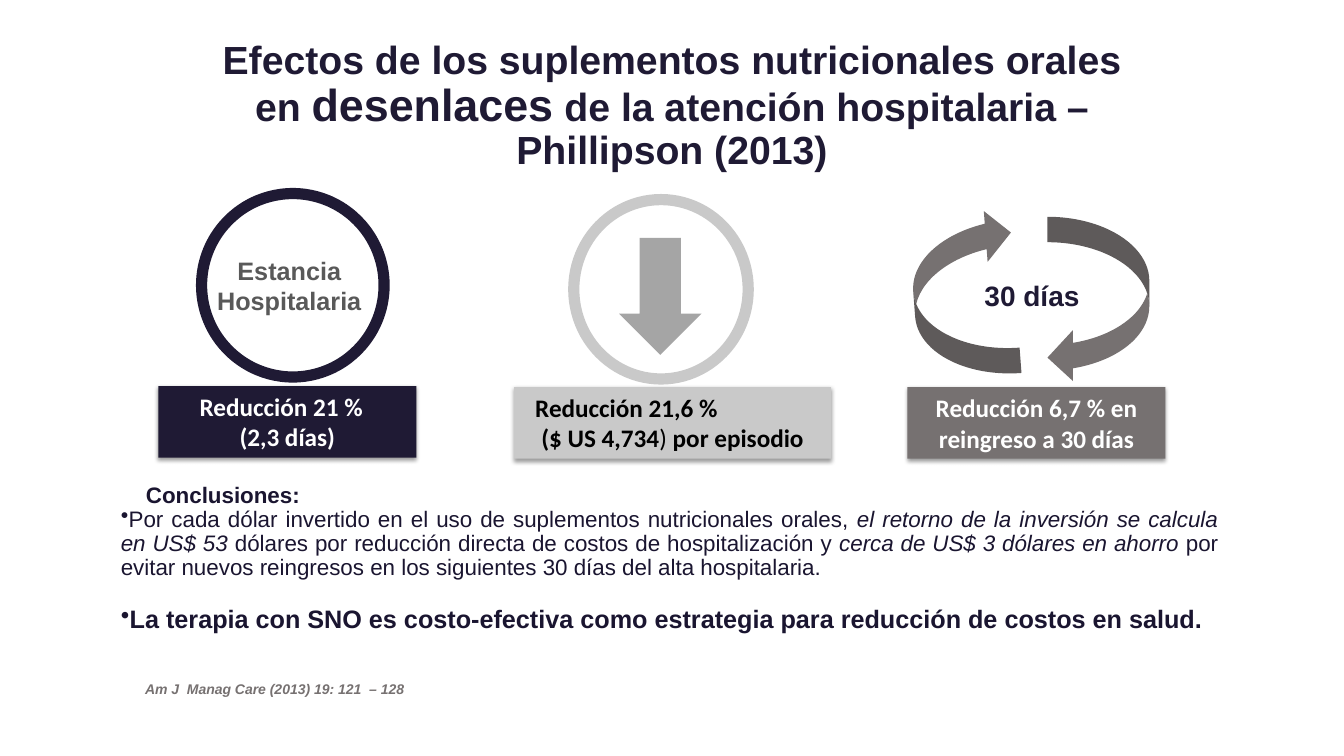
from dataclasses import dataclass
from typing import Optional

from lxml import etree
from pptx import Presentation
from pptx.dml.color import RGBColor
from pptx.enum.shapes import MSO_SHAPE
from pptx.enum.text import MSO_ANCHOR, PP_ALIGN
from pptx.oxml.ns import qn
from pptx.util import Emu, Inches, Pt

RECT, OVAL = MSO_SHAPE.RECTANGLE, MSO_SHAPE.OVAL
CURVED, DOWN = MSO_SHAPE.CURVED_LEFT_ARROW, MSO_SHAPE.DOWN_ARROW
TOP, MIDDLE = MSO_ANCHOR.TOP, MSO_ANCHOR.MIDDLE
LEFT, CENTER, JUSTIFY = PP_ALIGN.LEFT, PP_ALIGN.CENTER, PP_ALIGN.JUSTIFY


@dataclass(frozen=True)
class Theme:
    navy: str = "1F1A34"
    ink: str = "1A1530"
    gray: str = "767171"
    silver: str = "C9C9C9"
    arrow: str = "A5A5A5"
    label: str = "595959"
    white: str = "FFFFFF"
    black: str = "000000"
    sans: str = "Arial"
    box_font: str = "Calibri"
    title: float = 28
    title_big: float = 32
    days: float = 20
    strong: float = 18
    body: float = 16
    cite: float = 10
    ring: float = 8


T = Theme()


@dataclass(frozen=True)
class Run:
    text: str
    size: float
    color: str
    bold: bool = True
    italic: bool = False
    font: str = T.sans


@dataclass(frozen=True)
class Para:
    runs: tuple[Run, ...]
    align: PP_ALIGN = CENTER
    spacing: Optional[float] = None
    before: float = 0
    left: float = 0  # inches
    right: float = 0  # inches
    bullet: bool = False


@dataclass(frozen=True)
class Box:
    """Place as percentages of the slide's width and height."""
    x: float
    y: float
    w: float
    h: float


@dataclass(frozen=True)
class Figure:
    kind: MSO_SHAPE
    box: Box
    fill: Optional[str] = None
    line: Optional[str] = None
    rotation: float = 0
    shadow: bool = False
    paras: tuple[Para, ...] = ()
    anchor: MSO_ANCHOR = MIDDLE


prs = Presentation()
prs.slide_width, prs.slide_height = Inches(13.33), Inches(7.5)
s = prs.slides.add_slide(prs.slide_layouts[6])


def place(box: Box) -> tuple[Emu, ...]:
    w, h = prs.slide_width, prs.slide_height
    return tuple(Emu(round(share * size / 100)) for share, size in
                 ((box.x, w), (box.y, h), (box.w, w), (box.h, h)))


def write(tf, paras: tuple[Para, ...], anchor: MSO_ANCHOR, wrap: bool = True) -> None:
    tf.word_wrap, tf.vertical_anchor = wrap, anchor
    for i, para in enumerate(paras):
        p = tf.add_paragraph() if i else tf.paragraphs[0]
        pPr = p._p.get_or_add_pPr()
        for name, inches in (("marL", para.left), ("marR", para.right), ("indent", 0)):
            pPr.set(name, str(Inches(inches)))
        if para.bullet:
            etree.SubElement(pPr, qn("a:buChar"), char="•")
        p.alignment = para.align
        if para.spacing:
            p.line_spacing = para.spacing
        if para.before:
            p.space_before = Pt(para.before)
        for run in para.runs:
            r = p.add_run()
            r.text = run.text
            r.font.name, r.font.size = run.font, Pt(run.size)
            r.font.bold, r.font.italic = run.bold, run.italic
            r.font.color.rgb = RGBColor.from_string(run.color)


def add_text(box: Box, paras: tuple[Para, ...], wrap: bool = True) -> None:
    write(s.shapes.add_textbox(*place(box)).text_frame, paras, TOP, wrap)


def add_figure(fig: Figure) -> None:
    sp = s.shapes.add_shape(fig.kind, *place(fig.box))
    sp.rotation = fig.rotation
    if fig.fill:
        sp.fill.solid()
        sp.fill.fore_color.rgb = RGBColor.from_string(fig.fill)
    else:
        sp.fill.background()
    if fig.line:
        sp.line.color.rgb = RGBColor.from_string(fig.line)
        sp.line.width = Pt(T.ring)
    else:
        sp.line.fill.background()
    sp.shadow.inherit = False
    if fig.shadow:
        effects = sp._element.spPr.find(qn("a:effectLst"))
        outer = etree.SubElement(effects, qn("a:outerShdw"), blurRad=str(Pt(3.1)),
                                 dist=str(Pt(1.6)), dir="5400000", rotWithShape="0")
        color = etree.SubElement(outer, qn("a:srgbClr"), val=T.black)
        etree.SubElement(color, qn("a:alpha"), val="38000")
    if fig.paras:
        write(sp.text_frame, fig.paras, fig.anchor)


def result(text: str, color: str, bold: bool = True) -> Run:
    return Run(text, T.strong, color, bold, font=T.box_font)


def body(text: str, italic: bool = False) -> Run:
    return Run(text, T.body, T.ink, False, italic)


# Labels inside the circle and the cycle
LABELS = (
    Figure(RECT, Box(71.27, 34.8, 11.03, 8.53), T.white,
           paras=(Para((Run("30 días", T.days, T.navy),)),)),
    Figure(RECT, Box(14.55, 33.47, 13.95, 8.53), T.white,
           paras=(Para((Run("Estancia Hospitalaria", T.strong, T.label),)),)),
)

# Rings, arrows and result boxes
FIGURES = (
    Figure(OVAL, Box(42.69, 26.4, 12.98, 23.73), line=T.silver),
    Figure(OVAL, Box(15, 25.6, 13.58, 24.27), line=T.navy),
    Figure(CURVED, Box(77.94, 28.67, 7.58, 22), T.gray),
    Figure(CURVED, Box(67.97, 27.87, 7.58, 22), T.gray, rotation=175.7),
    Figure(RECT, Box(11.78, 51.07, 19.2, 9.47), T.navy, shadow=True, anchor=TOP,
           paras=(Para((result("Reducción 21 %", T.white),), right=0.12),
                  Para((result("(2,3 días)", T.white),)))),
    Figure(RECT, Box(38.26, 51.2, 23.56, 9.47), T.silver, shadow=True, anchor=TOP,
           paras=(Para((result("Reducción 21,6 %", T.black),), LEFT, left=0.11),
                  Para((result("($ US 4,734", T.black), result(") ", T.black, False),
                        result("por episodio", T.black))))),
    Figure(RECT, Box(67.52, 51.2, 19.2, 9.47), T.gray, shadow=True,
           paras=(Para((result("Reducción 6,7 % en reingreso a 30 días", T.white),)),)),
    Figure(DOWN, Box(46.06, 31.47, 6.15, 15.47), T.arrow),
)

TITLE = (Para((
    Run("Efectos de los suplementos nutricionales orales en ", T.title, T.navy),
    Run("desenlaces", T.title_big, T.navy),
    Run(" de la atención hospitalaria – Phillipson (2013)", T.title, T.navy)), spacing=0.9),)

CONCLUSIONS = (
    Para((Run("Conclusiones:", T.body, T.ink),), JUSTIFY, 0.9, left=0.25),
    Para((body("Por cada dólar invertido en el uso de suplementos nutricionales orales, "),
          body("el retorno de la inversión se calcula en US$ 53 ", True),
          body("dólares por reducción directa de costos de hospitalización y "),
          body("cerca de US$ 3 dólares en ahorro ", True),
          body("por evitar nuevos reingresos en los siguientes 30 días del alta hospitalaria.")),
         JUSTIFY, 0.9, bullet=True),
    Para((Run("La terapia con SNO es costo-efectiva como estrategia para reducción de costos "
              "en salud.", T.strong, T.ink),), LEFT, 0.9, before=19, bullet=True),
)

CITATION = (Para((Run("Am J  Manag Care (2013) 19: 121  – 128", T.cite, T.gray, italic=True),),
                 LEFT),)

# Build the slide from back to front
for label in LABELS:
    add_figure(label)
add_text(Box(14.7, 4.67, 70.59, 19.33), TITLE)
add_text(Box(8.25, 63.33, 83.12, 28.8), CONCLUSIONS)
add_text(Box(10.05, 89.33, 20.93, 3.6), CITATION, wrap=False)
for figure in FIGURES:
    add_figure(figure)

prs.save("out.pptx")
